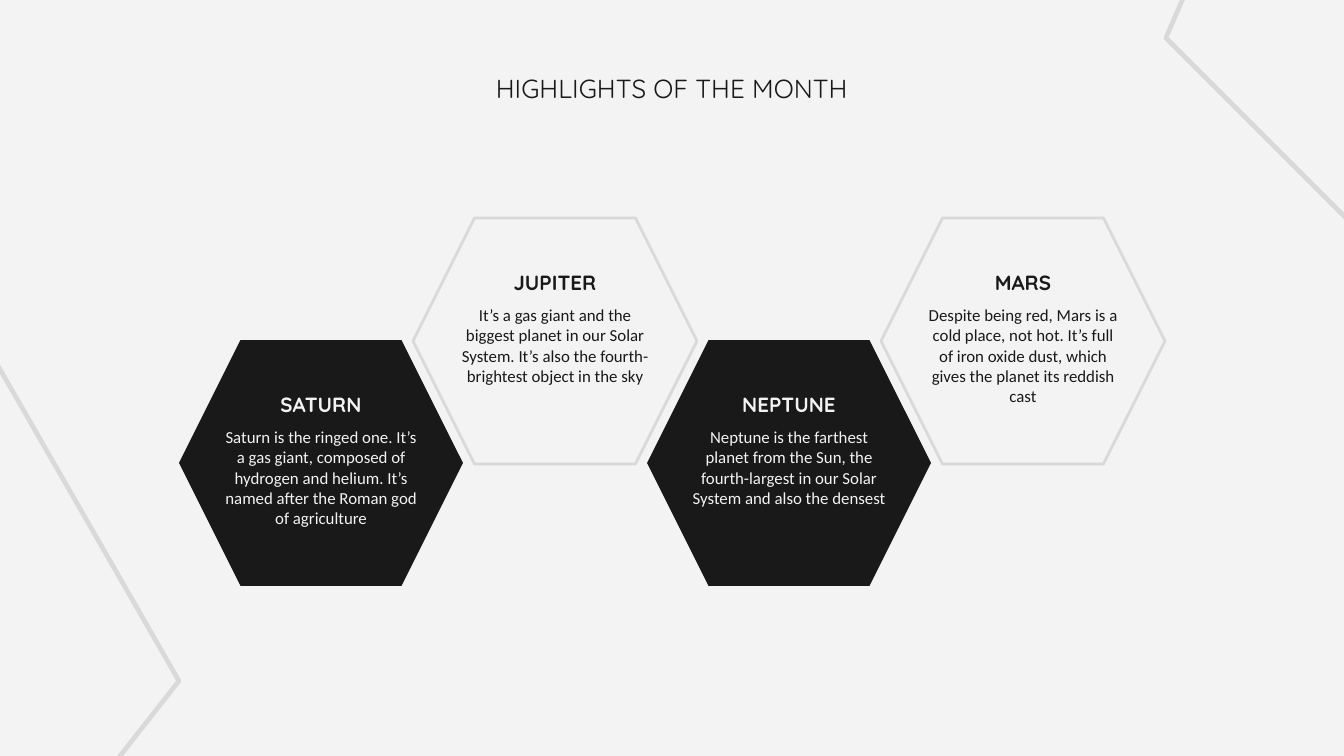
"""Build the "Highlights of the month" slide with four staggered hexagons."""
from pptx import Presentation
from pptx.dml.color import RGBColor
from pptx.enum.shapes import MSO_SHAPE
from pptx.enum.text import MSO_ANCHOR, MSO_AUTO_SIZE, PP_ALIGN
from pptx.util import Pt

HEXAGON = MSO_SHAPE.HEXAGON
TOP, BOTTOM = MSO_ANCHOR.TOP, MSO_ANCHOR.BOTTOM
CENTER = PP_ALIGN.CENTER
NO_FIT = MSO_AUTO_SIZE.NONE

SCALE = 914400 / 134.4
DARK, LIGHT, GREY = "191919", "F3F3F3", "D9D9D9"
HEAD_FONT, BODY_FONT = "Quicksand", "Calibri"

TITLE = "HIGHLIGHTS OF THE MONTH"
PLANETS = [
    ("SATURN", "Saturn is the ringed one. It’s a gas giant, composed of hydrogen "
               "and helium. It’s named after the Roman god of agriculture"),
    ("JUPITER", "It’s a gas giant and the biggest planet in our Solar System. "
                "It’s also the fourth-brightest object in the sky"),
    ("NEPTUNE", "Neptune is the farthest planet from the Sun, the fourth-largest "
                "in our Solar System and also the densest"),
    ("MARS", "Despite being red, Mars is a cold place, not hot. It’s full of iron "
             "oxide dust, which gives the planet its reddish cast"),
]
LEFT_CORNER = [(-26, 324), (179, 681), (51, 844)]
RIGHT_CORNER = [(1455, 327), (1166, 38), (1248, -152)]

HEX_LEFT, HEX_STEP, HEX_W, HEX_H = 179, 234, 284, 246
HEX_TOPS = (340, 218)
HEAD_BOX = (66, 42, 152, 48)
BODY_BOX = (32, 74, 220, 142)


def px(n):
    return round(n * SCALE)


def rgb(color):
    return RGBColor.from_string(color)


def outline(s, width):
    s.line.color.rgb = rgb(GREY)
    s.line.width = Pt(width)


def add_corner(shapes, points):
    builder = shapes.build_freeform(*points[0], scale=SCALE)
    builder.add_line_segments(points[1:], close=False)
    s = builder.convert_to_shape()
    s.shadow.inherit = False
    s.fill.background()
    outline(s, 2.5)


def add_hexagon(shapes, x, y, filled):
    s = shapes.add_shape(HEXAGON, px(x), px(y), px(HEX_W), px(HEX_H))
    s.adjustments[0] = 0.25
    s.shadow.inherit = False
    if filled:
        s.fill.solid()
        s.fill.fore_color.rgb = rgb(DARK)
        s.line.fill.background()
    else:
        s.fill.background()
        outline(s, 1.5)


def set_text(s, text, font, size, color, bold=False, anchor=TOP):
    tf = s.text_frame
    tf.word_wrap = True
    tf.auto_size = NO_FIT
    tf.vertical_anchor = anchor
    tf.margin_left = tf.margin_right = tf.margin_top = tf.margin_bottom = px(13)
    p = tf.paragraphs[0]
    p.text = text
    p.alignment = CENTER
    p.font.name = font
    p.font.size = Pt(size)
    p.font.bold = bold
    p.font.color.rgb = rgb(color)


def add_text(shapes, x, y, box, *args, **kwargs):
    dx, dy, w, h = box
    s = shapes.add_textbox(px(x + dx), px(y + dy), px(w), px(h))
    set_text(s, *args, **kwargs)


def main():
    prs = Presentation()
    prs.slide_width, prs.slide_height = px(1344), px(756)
    slide = prs.slides.add_slide(prs.slide_layouts[5])
    slide.background.fill.solid()
    slide.background.fill.fore_color.rgb = rgb(LIGHT)
    shapes = slide.shapes

    title = shapes.title
    title.left, title.top, title.width, title.height = map(px, (453, 59, 438, 101))
    set_text(title, TITLE, HEAD_FONT, 14, DARK)

    add_corner(shapes, LEFT_CORNER)
    spots = [(HEX_LEFT + i * HEX_STEP, HEX_TOPS[i % 2], i % 2 == 0)
             for i in range(len(PLANETS))]
    for x, y, filled in spots:
        add_hexagon(shapes, x, y, filled)
    for (x, y, filled), (name, fact) in zip(spots, PLANETS):
        color = LIGHT if filled else DARK
        add_text(shapes, x, y, HEAD_BOX, name, HEAD_FONT, 11, color,
                 bold=True, anchor=BOTTOM)
        add_text(shapes, x, y, BODY_BOX, fact, BODY_FONT, 9, color)
    add_corner(shapes, RIGHT_CORNER)

    prs.save("out.pptx")


if __name__ == "__main__":
    main()
